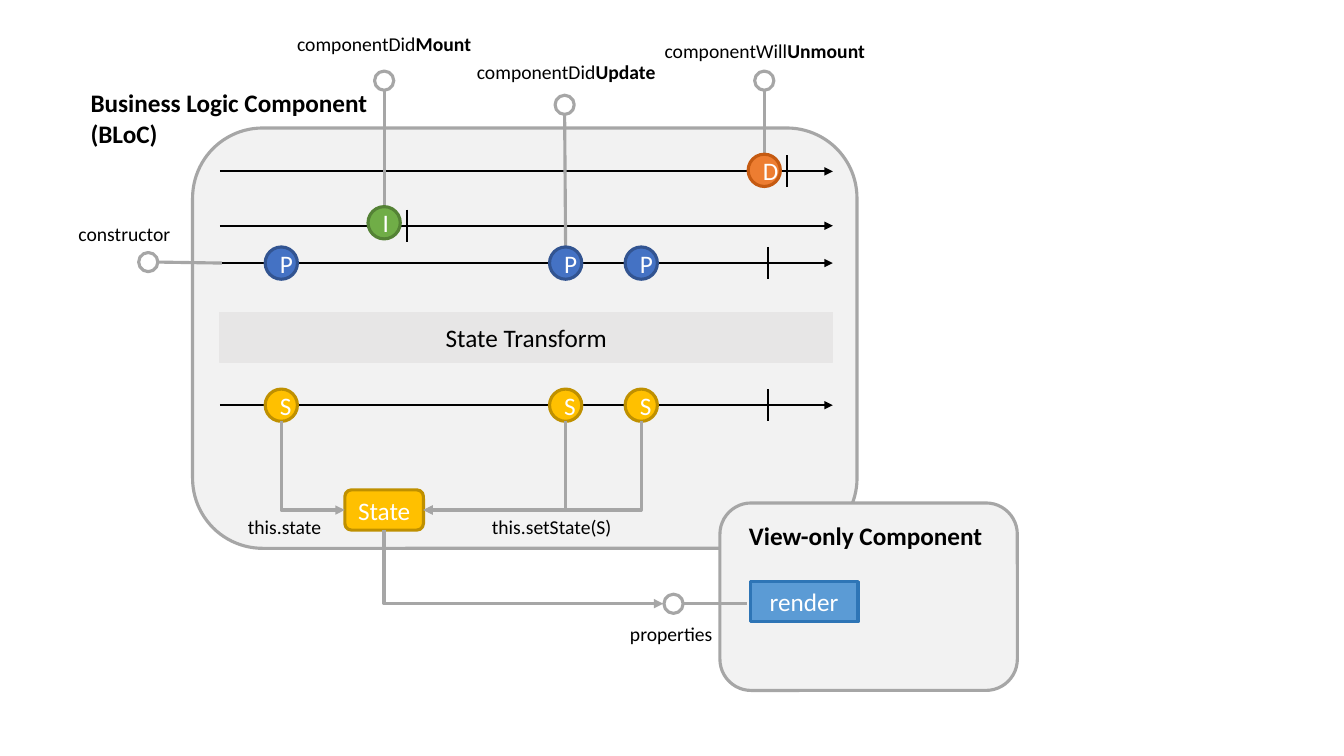
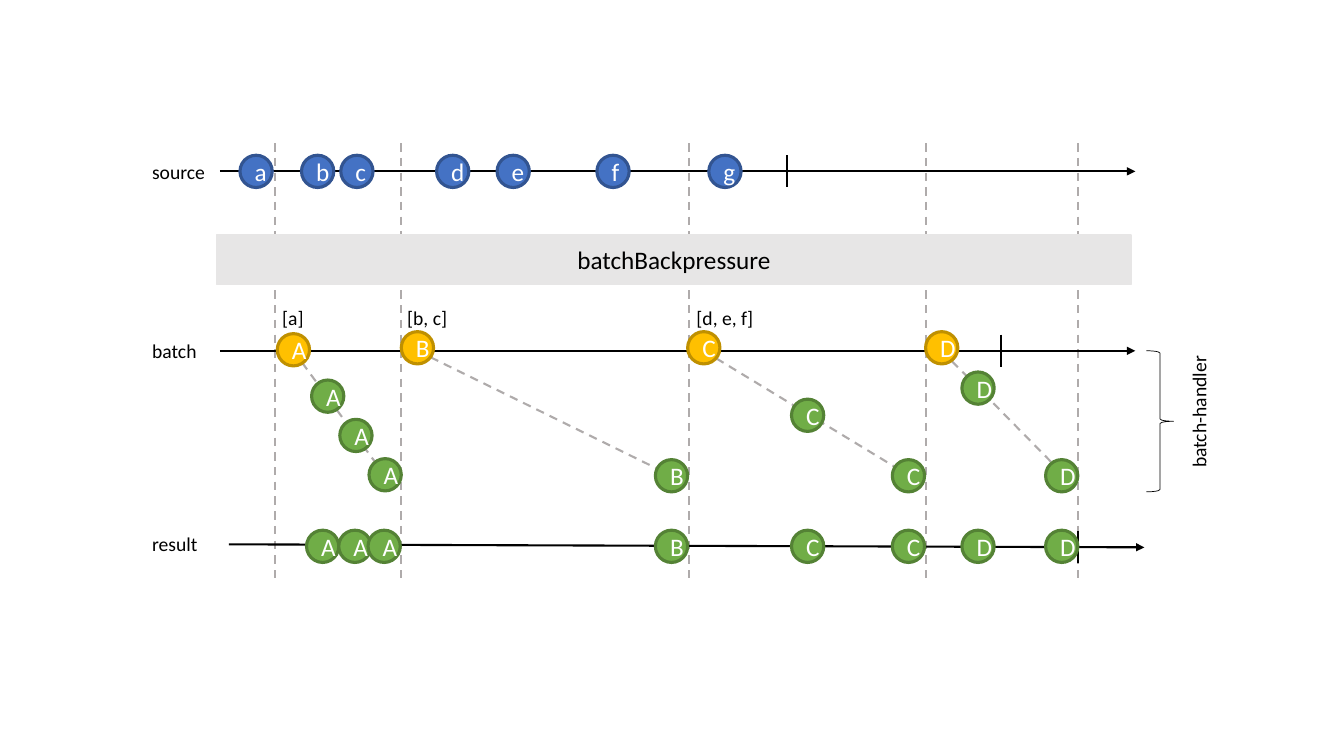
from lxml.etree import SubElement
from pptx import Presentation
from pptx.dml.color import RGBColor
from pptx.enum.dml import MSO_LINE
from pptx.enum.shapes import MSO_CONNECTOR, MSO_SHAPE
from pptx.enum.text import MSO_AUTO_SIZE, PP_ALIGN
from pptx.oxml.ns import qn
from pptx.util import Inches, Pt

COLORS = {
    "white": "FFFFFF", "black": "000000",
    "panel": "F2F2F2", "outline": "A6A6A6", "operator": "E7E6E6", "guide": "AFABAB",
    "blue": "4472C4", "blue_edge": "325491",
    "yellow": "FFC000", "yellow_edge": "BF9000",
    "green": "70AD47", "green_edge": "548235",
    "orange": "ED7D31", "orange_edge": "C55A11",
    "sky": "5B9BD5", "sky_edge": "2E75B6",
}
FONT = "Calibri"
MARBLE = 0.32
RING = 0.19


def rgb(color):
    return RGBColor.from_string(COLORS[color])


class MarbleDiagram:
    """Style and current slide of the marble diagrams."""

    def __init__(self):
        self.deck = Presentation()
        self.deck.slide_width, self.deck.slide_height = Inches(13.33), Inches(7.5)
        self.slide = None

    def new_slide(self):
        self.slide = self.deck.slides.add_slide(self.deck.slide_layouts[6])

    def style_text(self, paragraph, size, color, bold=None):
        font = paragraph.font
        font.name, font.size, font.bold = FONT, Pt(size), bold
        font.color.rgb = rgb(color)

    def block(self, kind, left, top, width, height, fill, edge,
              text="", text_color="white", weight=2.25):
        shape = self.slide.shapes.add_shape(
            kind, Inches(left), Inches(top), Inches(width), Inches(height))
        shape.shadow.inherit = False
        if fill:
            shape.fill.solid()
            shape.fill.fore_color.rgb = rgb(fill)
        else:
            shape.fill.background()
        shape.line.color.rgb = rgb(edge)
        shape.line.width = Pt(weight)
        if text:
            paragraph = shape.text_frame.paragraphs[0]
            paragraph.text = text
            paragraph.alignment = PP_ALIGN.CENTER
            self.style_text(paragraph, 18, text_color)

    def panel(self, left, top, width, height):
        self.block(MSO_SHAPE.ROUNDED_RECTANGLE, left, top, width, height, "panel", "outline")

    def operator(self, left, top, width, text):
        self.block(MSO_SHAPE.RECTANGLE, left, top, width, 0.49,
                   "operator", "operator", text, "black", 1)

    def marble(self, x, y, letter, color):
        """Lettered circle centred on x, y."""
        self.block(MSO_SHAPE.OVAL, x - MARBLE / 2, y - MARBLE / 2, MARBLE, MARBLE,
                   color, f"{color}_edge", letter)

    def line(self, start, end, color="black", weight=1.5, dashed=False,
             head=False, tail=False, bent=False):
        connector = self.slide.shapes.add_connector(
            MSO_CONNECTOR.ELBOW if bent else MSO_CONNECTOR.STRAIGHT,
            *map(Inches, (*start, *end)))
        connector.line.color.rgb = rgb(color)
        connector.line.width = Pt(weight)
        if dashed:
            connector.line.dash_style = MSO_LINE.DASH
        properties = connector._element.spPr
        if bent:
            properties.find(qn("a:prstGeom")).set("prst", "bentConnector2")
        outline = properties.find(qn("a:ln"))
        for wanted, tag in ((head, "a:headEnd"), (tail, "a:tailEnd")):
            if wanted:
                SubElement(outline, qn(tag), type="triangle")
        SubElement(properties, qn("a:effectLst"))

    def timeline(self, left, right, y, end_x, drop=0):
        """Arrow for a stream, with a tick where the stream completes."""
        self.line((left, y), (right, y + drop), tail=True)
        self.line((end_x, y + drop - 0.16), (end_x, y + drop + 0.16))

    def hook(self, ring, target):
        """Ring centred on one point, with a stem from its rim to the target."""
        x, y = ring
        radius = RING / 2
        vertical = target[1] - y > radius
        rim = (x, y + radius) if vertical else (x + radius, y)
        self.line(rim, target, "outline", 2.25)
        self.block(MSO_SHAPE.OVAL, x - radius, y - radius, RING, RING, "white", "outline")

    def flow(self, source, target):
        """Elbow that leaves the source vertically and enters the target sideways."""
        self.line(target, source, "outline", 2.25, head=True, bent=True)

    def label(self, left, top, width, text, strong="", height=0.34, size=14,
              bold=None, centered=False, rotation=0):
        box = self.slide.shapes.add_textbox(
            Inches(left), Inches(top), Inches(width), Inches(height))
        box.rotation = rotation
        frame = box.text_frame
        frame.word_wrap = False
        frame.auto_size = MSO_AUTO_SIZE.SHAPE_TO_FIT_TEXT
        frame.text = text
        for paragraph in frame.paragraphs:
            self.style_text(paragraph, size, "black", bold)
            if centered:
                paragraph.alignment = PP_ALIGN.CENTER
        if strong:
            ending = frame.paragraphs[0].add_run()
            ending.text = strong
            ending.font.bold = True


def component_slide(diagram):
    diagram.new_slide()
    diagram.panel(1.91, 1.27, 6.59, 4.17)
    unmount_y, mount_y, props_y, state_y = 1.7, 2.24, 2.61, 4.02
    for y, end_x in ((unmount_y, 7.81), (mount_y, 4.04), (props_y, 7.62), (state_y, 7.62)):
        diagram.timeline(2.18, 8.26, y, end_x)
    diagram.operator(2.18, 3.1, 6.08, "State Transform")

    hooks = (((3.81, 0.8), (3.81, 2.05)), ((5.6, 1.04), (5.61, 2.45)),
             ((7.58, 0.8), (7.58, 1.53)), ((1.47, 2.6), (2.2, 2.61)))
    for ring, target in hooks:
        diagram.hook(ring, target)
    updates = (2.79, 5.61, 6.36)
    for x in updates:
        diagram.marble(x, props_y, "P", "blue")
        diagram.marble(x, state_y, "S", "yellow")
    diagram.marble(3.81, 2.21, "I", "green")
    diagram.marble(7.58, 1.69, "D", "orange")

    diagram.block(MSO_SHAPE.ROUNDED_RECTANGLE, 3.42, 4.86, 0.78, 0.4,
                  "yellow", "yellow_edge", "State")
    for x, state_side in zip(updates, (3.42, 4.2, 4.2)):
        diagram.flow((x, 4.18), (state_side, 5.06))

    diagram.panel(7.14, 4.99, 2.95, 1.86)
    diagram.flow((3.81, 5.26), (6.58, 5.99))
    diagram.hook((6.68, 5.99), (7.41, 5.99))
    diagram.block(MSO_SHAPE.RECTANGLE, 7.44, 5.77, 1.07, 0.4, "sky", "sky_edge", "render")

    for left, top, width, text, strong in (
            (2.84, 0.27, 1.94, "componentDid", "Mount"),
            (4.62, 0.55, 1.99, "componentDid", "Update"),
            (6.48, 0.34, 2.21, "componentWill", "Unmount")):
        diagram.label(left, top, width, text, strong, centered=True)
    for left, top, width, text in (
            (0.68, 2.15, 1.12, "constructor"), (2.36, 5.06, 0.94, "this.state"),
            (4.78, 5.06, 1.4, "this.setState(S)"), (6.15, 6.12, 1.03, "properties")):
        diagram.label(left, top, width, text)
    diagram.label(0.8, 0.82, 3.03, "Business Logic Component\n(BLoC)",
                  height=0.71, size=18, bold=True)
    diagram.label(7.33, 5.11, 2.54, "View-only Component", height=0.4, size=18, bold=True)


def backpressure_slide(diagram):
    diagram.new_slide()
    source_y, batch_y, result_y = 1.7, 3.48, 5.42
    for x in (2.73, 3.98, 6.83, 9.18, 10.69):
        diagram.line((x, 1.42), (x, 5.8), "guide", dashed=True)
    for start_x, end_x in ((2.91, 3.82), (4.14, 6.66), (6.98, 9.02), (9.34, 10.56)):
        diagram.line((start_x, batch_y), (end_x, 4.72), "guide", dashed=True, tail=True)
    diagram.timeline(2.18, 11.26, source_y, 7.81)
    diagram.timeline(2.18, 11.26, batch_y, 9.93)
    diagram.timeline(2.27, 11.35, 5.4, 10.69, drop=0.03)
    diagram.operator(2.15, 2.33, 9.07, "batchBackpressure")

    for letter, x in zip("abcdefg", (2.54, 3.15, 3.54, 4.49, 5.09, 6.08, 7.19)):
        diagram.marble(x, source_y, letter, "blue")
    for letter, x, y in (("A", 2.91, 3.47), ("B", 4.14, 3.45),
                         ("C", 6.98, 3.45), ("D", 9.34, 3.45)):
        diagram.marble(x, y, letter, "yellow")
    # Each handled item: letter, place along its batch, place on the result line
    for letter, x, y, result_x in (
            ("A", 3.25, 3.93, 3.2), ("A", 3.53, 4.32, 3.52), ("A", 3.82, 4.71, 3.81),
            ("B", 6.66, 4.72, 6.66), ("C", 8.01, 4.12, 8.01), ("C", 9.01, 4.72, 9.01),
            ("D", 9.7, 3.85, 9.7), ("D", 10.53, 4.72, 10.53)):
        diagram.marble(x, y, letter, "green")
        diagram.marble(result_x, result_y, letter, "green")

    for left, top, width, text in (
            (1.41, 1.54, 0.73, "source"), (1.41, 3.31, 0.65, "batch"),
            (1.41, 5.23, 0.66, "result"), (2.7, 2.99, 0.42, "[a]"),
            (3.94, 2.99, 0.6, "[b, c]"), (6.81, 2.99, 0.77, "[d, e, f]")):
        diagram.label(left, top, width, text)
    diagram.block(MSO_SHAPE.RIGHT_BRACE, 11.37, batch_y, 0.27, 1.4, None, "black", weight=0.5)
    diagram.label(11.23, 3.91, 1.32, "batch-handler", rotation=270)


def main():
    diagram = MarbleDiagram()
    component_slide(diagram)
    backpressure_slide(diagram)
    diagram.deck.save("out.pptx")


if __name__ == "__main__":
    main()
